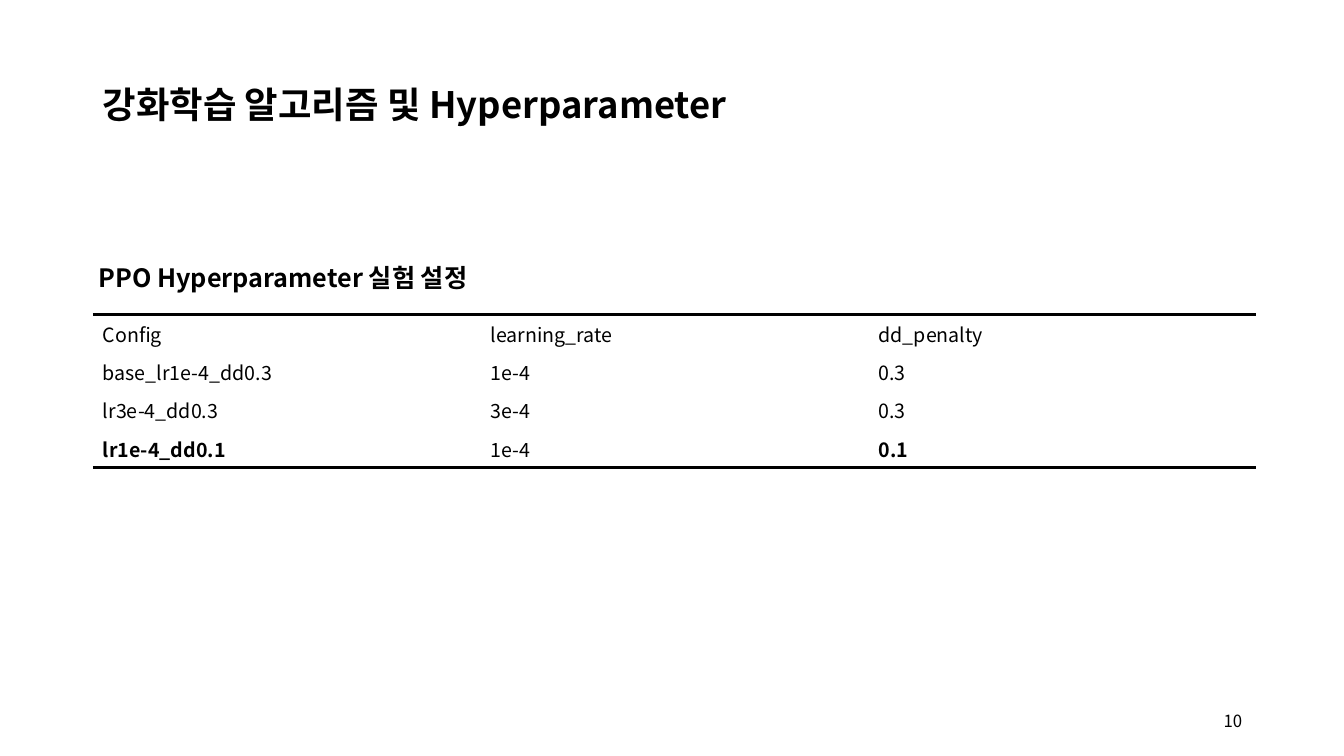
"""Build the slide on the PPO hyperparameter experiment settings."""
from dataclasses import dataclass

from lxml import etree
from pptx import Presentation
from pptx.dml.color import RGBColor
from pptx.enum.text import MSO_ANCHOR, PP_ALIGN
from pptx.oxml.ns import qn
from pptx.slide import Slide
from pptx.table import _Cell
from pptx.text.text import _Paragraph
from pptx.util import Inches, Pt

TOP, MIDDLE = MSO_ANCHOR.TOP, MSO_ANCHOR.MIDDLE
LEFT, RIGHT = PP_ALIGN.LEFT, PP_ALIGN.RIGHT


@dataclass(frozen=True)
class Theme:
    font: str = "Noto Sans CJK KR"
    ink: str = "000000"
    paper: str = "FFFFFF"
    title_size: int = 26
    heading_size: int = 18
    table_size: int = 14
    page_size: int = 12
    rule_width: int = 2


@dataclass(frozen=True)
class Label:
    text: str
    left: float
    top: float
    width: float
    height: float
    size: int
    bold: bool = False
    anchor: MSO_ANCHOR = MIDDLE
    align: PP_ALIGN = LEFT
    line_spacing: float = 1.0


@dataclass(frozen=True)
class Entry:
    text: str
    bold: bool = False


THEME = Theme()
LABELS = [
    Label("강화학습 알고리즘 및 Hyperparameter", 0.92, 0.47, 11.5, 1.18,
          THEME.title_size, bold=True, line_spacing=0.9),
    Label("10", 9.42, 6.95, 3, 0.4, THEME.page_size, align=RIGHT),
    Label("PPO Hyperparameter 실험 설정", 0.88, 2.55, 11.38, 0.4,
          THEME.heading_size, bold=True, anchor=TOP),
]
SETTINGS = [
    [Entry("Config"), Entry("learning_rate"), Entry("dd_penalty")],
    [Entry("base_lr1e-4_dd0.3"), Entry("1e-4"), Entry("0.3")],
    [Entry("lr3e-4_dd0.3"), Entry("3e-4"), Entry("0.3")],
    [Entry("lr1e-4_dd0.1", bold=True), Entry("1e-4"), Entry("0.1", bold=True)],
]
TABLE_LEFT, TABLE_TOP, TABLE_WIDTH, ROW_HEIGHT = 0.92, 3.12, 11.54, 0.38


def add_words(paragraph: _Paragraph, text: str, size: int, bold: bool) -> None:
    run = paragraph.add_run()
    run.text = text
    run.font.size = Pt(size)
    run.font.bold = bold
    run.font.color.rgb = RGBColor.from_string(THEME.ink)
    run.font.name = THEME.font
    etree.SubElement(run.font._element, qn("a:ea"), typeface=THEME.font)


def add_label(slide: Slide, label: Label) -> None:
    box = slide.shapes.add_textbox(Inches(label.left), Inches(label.top),
                                   Inches(label.width), Inches(label.height))
    frame = box.text_frame
    frame.word_wrap = True
    frame.vertical_anchor = label.anchor
    paragraph = frame.paragraphs[0]
    paragraph.alignment = label.align
    paragraph.line_spacing = label.line_spacing
    add_words(paragraph, label.text, label.size, label.bold)


def set_borders(cell: _Cell, ruled_sides: set[str]) -> None:
    properties = cell._tc.get_or_add_tcPr()
    for side in ("lnL", "lnR", "lnT", "lnB"):
        border = etree.SubElement(properties, qn(f"a:{side}"))
        if side in ruled_sides:
            border.set("w", str(Pt(THEME.rule_width)))
            ink = etree.SubElement(border, qn("a:solidFill"))
            etree.SubElement(ink, qn("a:srgbClr"), val=THEME.ink)
        else:
            etree.SubElement(border, qn("a:noFill"))


def add_settings(slide: Slide, settings: list[list[Entry]]) -> None:
    row_count, column_count = len(settings), len(settings[0])
    table = slide.shapes.add_table(
        row_count, column_count, Inches(TABLE_LEFT), Inches(TABLE_TOP),
        Inches(TABLE_WIDTH), Inches(ROW_HEIGHT * row_count)).table
    table.first_row = False
    table.horz_banding = False
    outer_rules = {0: {"lnT"}, row_count - 1: {"lnB"}}
    for row, entries in enumerate(settings):
        for column, entry in enumerate(entries):
            cell = table.cell(row, column)
            cell.vertical_anchor = MIDDLE
            set_borders(cell, outer_rules.get(row, set()))
            cell.fill.solid()
            cell.fill.fore_color.rgb = RGBColor.from_string(THEME.paper)
            add_words(cell.text_frame.paragraphs[0], entry.text,
                      THEME.table_size, entry.bold)


def main() -> None:
    deck = Presentation()
    deck.slide_width, deck.slide_height = Inches(13.33), Inches(7.5)
    slide = deck.slides.add_slide(deck.slide_layouts[6])
    for label in LABELS:
        add_label(slide, label)
    add_settings(slide, SETTINGS)
    deck.save("out.pptx")


if __name__ == "__main__":
    main()
